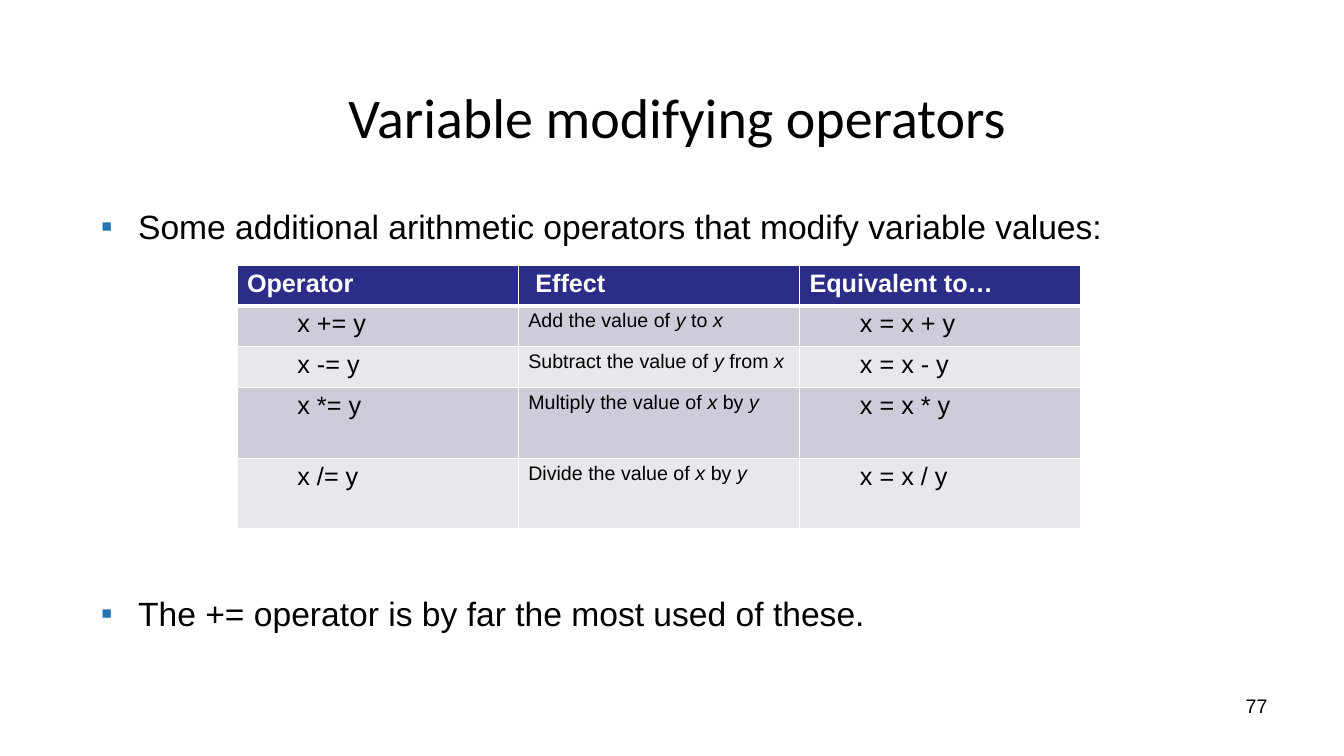
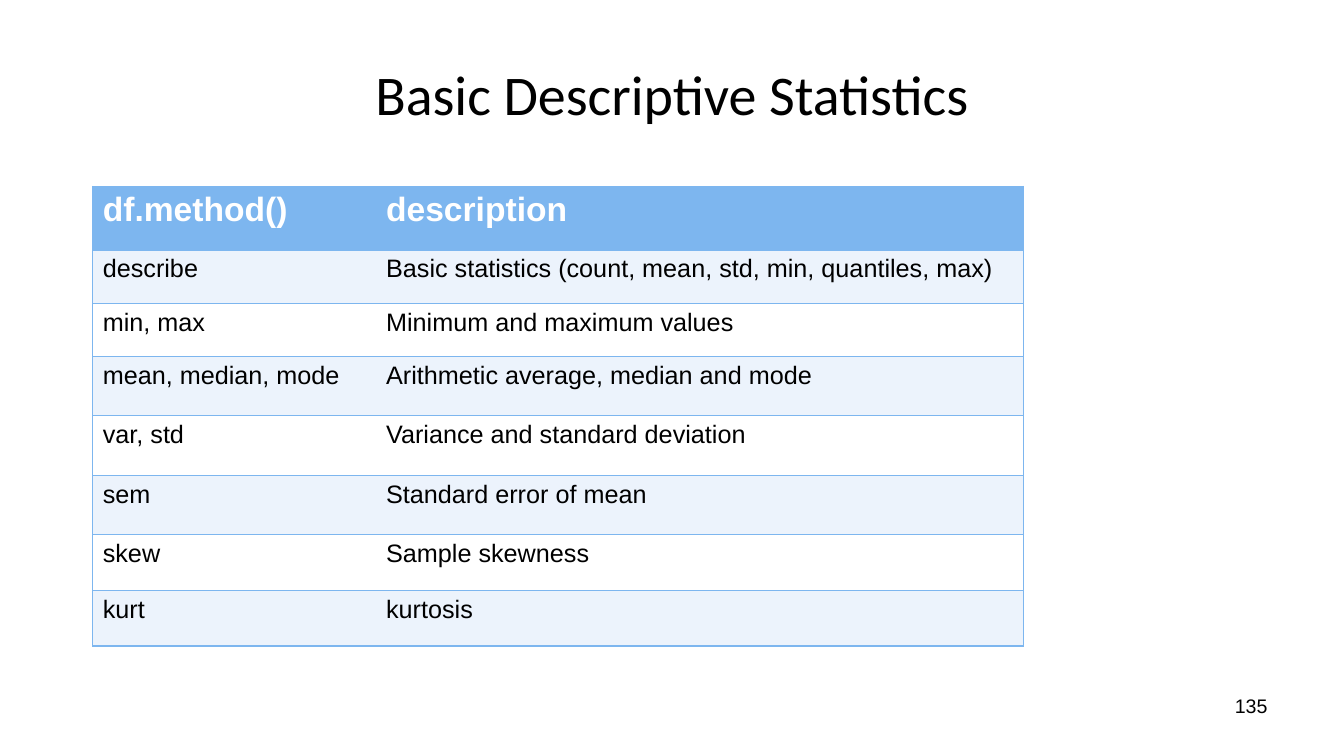
from dataclasses import dataclass
from typing import Any

from lxml import etree
from pptx import Presentation
from pptx import util as u
from pptx.dml.color import RGBColor
from pptx.enum import text
from pptx.oxml.ns import qn


@dataclass(frozen=True)
class Theme:
    title_font: str = "Calibri"
    body_font: str = "Arial"
    title_size: int = 40
    bullet_size: int = 24
    table_size: int = 18
    small_size: int = 14
    ink: str = "000000"
    paper: str = "FFFFFF"
    bullet: str = "2575B4"
    navy: str = "2C2C89"
    navy_bands: tuple[str, str] = ("CDCDDA", "E8E8EC")
    sky: str = "7DB6EF"
    sky_bands: tuple[str, str] = ("ECF3FC", "FFFFFF")


@dataclass(frozen=True)
class Box:
    """Place and size in percent of the slide."""
    x: float
    y: float
    w: float
    h: float


@dataclass(frozen=True)
class Column:
    """Width in percent of the slide; left margins in inches."""
    width: float
    size: int
    head_margin: float = 0.1
    margin: float = 0.1


@dataclass(frozen=True)
class TableSpec:
    x: float
    y: float
    columns: list[Column]
    heights: list[float]
    rows: list[list[str]]
    head_size: int
    head_fill: str
    bands: tuple[str, str]
    top_margin: float
    line: str
    head_rule: int = 1
    inner_lines: bool = True


T = Theme()
WIDTH, HEIGHT = u.Inches(13.33), u.Inches(7.5)
TITLE = Box(5, 4, 90, 16.67)
PAGE_NUMBER = Box(71.72, 91.07, 23.33, 6.93)
NO_STYLE = "{2D5ABB26-0587-4C30-8999-92F81FD0307C}"
TITLE_ONLY, TWO_CONTENT = 5, 3


def across(share: float) -> int:
    return round(WIDTH * share / 100)


def down(share: float) -> int:
    return round(HEIGHT * share / 100)


def set_all(target: Any, values: dict[str, Any]) -> None:
    for name, value in values.items():
        setattr(target, name, value)


def place(sp: Any, box: Box) -> None:
    set_all(sp, {"left": across(box.x), "top": down(box.y),
                 "width": across(box.w), "height": down(box.h)})


def write(p: Any, words: str, size: int, color: str = T.ink,
          font: str = T.body_font, bold: bool = False) -> None:
    """Add runs to a paragraph; words between underscores are italic."""
    for i, part in enumerate(words.split("_")):
        if part:
            r = p.add_run()
            r.text = part
            set_all(r.font, {"name": font, "size": u.Pt(size), "bold": bold,
                             "italic": i % 2 == 1})
            r.font.color.rgb = RGBColor.from_string(color)


# Shared slide parts
def add_slide(prs: Any, layout: int, title: str, number: int) -> Any:
    s = prs.slides.add_slide(prs.slide_layouts[layout])
    place(s.shapes.title, TITLE)
    tf = s.shapes.title.text_frame
    set_all(tf, {"auto_size": text.MSO_AUTO_SIZE.NONE, "word_wrap": True,
                 "vertical_anchor": text.MSO_ANCHOR.MIDDLE})
    p = tf.paragraphs[0]
    p.alignment = text.PP_ALIGN.CENTER
    write(p, title, T.title_size, font=T.title_font)

    sp = s.shapes.add_textbox(0, 0, 0, 0)
    place(sp, PAGE_NUMBER)
    sp.text_frame.word_wrap = True
    p = sp.text_frame.paragraphs[0]
    p.alignment = text.PP_ALIGN.RIGHT
    write(p, str(number), T.small_size)
    return s


def fill_bullet(sp: Any, box: Box, words: str) -> None:
    place(sp, box)
    tf = sp.text_frame
    set_all(tf, {"auto_size": text.MSO_AUTO_SIZE.NONE, "word_wrap": True,
                 "vertical_anchor": text.MSO_ANCHOR.TOP,
                 "margin_left": 0, "margin_right": 0,
                 "margin_top": u.Inches(0.01), "margin_bottom": 0})
    p = tf.paragraphs[0]
    p.space_before = u.Pt(0)
    pPr = p._p.get_or_add_pPr()
    pPr.set("marL", str(u.Inches(0.39)))
    pPr.set("indent", str(u.Inches(-0.37)))
    color = etree.SubElement(pPr, qn("a:buClr"))
    etree.SubElement(color, qn("a:srgbClr"), val=T.bullet)
    etree.SubElement(pPr, qn("a:buFont"), typeface=T.body_font)
    etree.SubElement(pPr, qn("a:buChar"), char="▪")
    write(p, words, T.bullet_size)


# Tables
def add_border(cell: Any, side: str, color: str, points: int) -> None:
    ln = etree.SubElement(cell._tc.get_or_add_tcPr(), qn(f"a:ln{side}"),
                          w=str(u.Pt(points)))
    fill = etree.SubElement(ln, qn("a:solidFill"))
    etree.SubElement(fill, qn("a:srgbClr"), val=color)


def border_cell(cell: Any, spec: TableSpec, row: int, col: int) -> None:
    last = len(spec.columns) - 1
    widths = {
        "L": 1 if spec.inner_lines or col == 0 else 0,
        "R": 1 if spec.inner_lines or col == last else 0,
        "T": spec.head_rule if row == 1 else 1,
        "B": spec.head_rule if row == 0 else 1,
    }
    for side, points in widths.items():
        if points:
            add_border(cell, side, spec.line, points)


def add_table(s: Any, spec: TableSpec) -> None:
    frame = s.shapes.add_table(
        len(spec.rows), len(spec.columns), across(spec.x), down(spec.y),
        across(sum(c.width for c in spec.columns)), down(sum(spec.heights)))
    table = frame.table
    table._tbl.tblPr.find(qn("a:tableStyleId")).text = NO_STYLE
    for column, layout in zip(table.columns, spec.columns):
        column.width = across(layout.width)
    for i, (height, row) in enumerate(zip(spec.heights, spec.rows)):
        table.rows[i].height = down(height)
        head = i == 0
        fill = spec.head_fill if head else spec.bands[(i - 1) % 2]
        for j, (layout, words) in enumerate(zip(spec.columns, row)):
            cell = table.cell(i, j)
            margin = layout.head_margin if head else layout.margin
            set_all(cell, {"margin_left": u.Inches(margin), "margin_right": 0,
                           "margin_top": u.Inches(spec.top_margin),
                           "margin_bottom": 0})
            border_cell(cell, spec, i, j)
            cell.fill.solid()
            cell.fill.fore_color.rgb = RGBColor.from_string(fill)
            write(cell.text_frame.paragraphs[0], words,
                  spec.head_size if head else layout.size,
                  T.paper if head else T.ink, bold=head)


OPERATORS = TableSpec(
    x=17.63, y=35.07,
    columns=[Column(20.93, T.table_size, margin=0.6),
             Column(20.93, T.small_size, head_margin=0.17),
             Column(20.93, T.table_size, margin=0.6)],
    heights=[5.4, 5.4, 5.4, 9.4, 9.3],
    rows=[["Operator", "Effect", "Equivalent to…"],
          ["x += y", "Add the value of _y_ to _x_", "x = x + y"],
          ["x -= y", "Subtract the value of _y_ from _x_", "x = x - y"],
          ["x *= y", "Multiply the value of _x_ by _y_", "x = x * y"],
          ["x /= y", "Divide the value of _x_ by _y_", "x = x / y"]],
    head_size=T.table_size, head_fill=T.navy, bands=T.navy_bands,
    top_margin=0.04, line=T.paper, head_rule=3)

STATISTICS = TableSpec(
    x=6.9, y=24.67,
    columns=[Column(21.08, T.table_size), Column(48.16, T.table_size)],
    heights=[8.4, 7.07, 7.07, 7.8, 7.87, 7.87, 7.4, 7.33],
    rows=[["df.method()", "description"],
          ["describe", "Basic statistics (count, mean, std, min, quantiles, max)"],
          ["min, max", "Minimum and maximum values"],
          ["mean, median, mode", "Arithmetic average, median and mode"],
          ["var, std", "Variance and standard deviation"],
          ["sem", "Standard error of mean"],
          ["skew", "Sample skewness"],
          ["kurt", "kurtosis"]],
    head_size=T.bullet_size, head_fill=T.sky, bands=T.sky_bands,
    top_margin=0.05, line=T.sky, inner_lines=False)

BULLETS = [
    (Box(7.35, 27.07, 74.8, 5.73),
     "Some additional arithmetic operators that modify variable values:"),
    (Box(7.35, 78.27, 57.1, 5.73),
     "The += operator is by far the most used of these."),
]


def main() -> None:
    prs = Presentation()
    set_all(prs, {"slide_width": WIDTH, "slide_height": HEIGHT})

    # Operators: title set lower, bullets above and below the table
    s = add_slide(prs, TWO_CONTENT, "Variable modifying operators", 77)
    set_all(s.shapes.title.text_frame,
            {"margin_left": u.Inches(0.1), "margin_right": 0,
             "margin_top": u.Inches(0.45), "margin_bottom": 0})
    for idx, (box, words) in enumerate(BULLETS, start=1):
        fill_bullet(s.placeholders[idx], box, words)
    add_table(s, OPERATORS)

    # Descriptive statistics
    s = add_slide(prs, TITLE_ONLY, "Basic Descriptive Statistics", 135)
    add_table(s, STATISTICS)

    prs.save("out.pptx")


if __name__ == "__main__":
    main()
